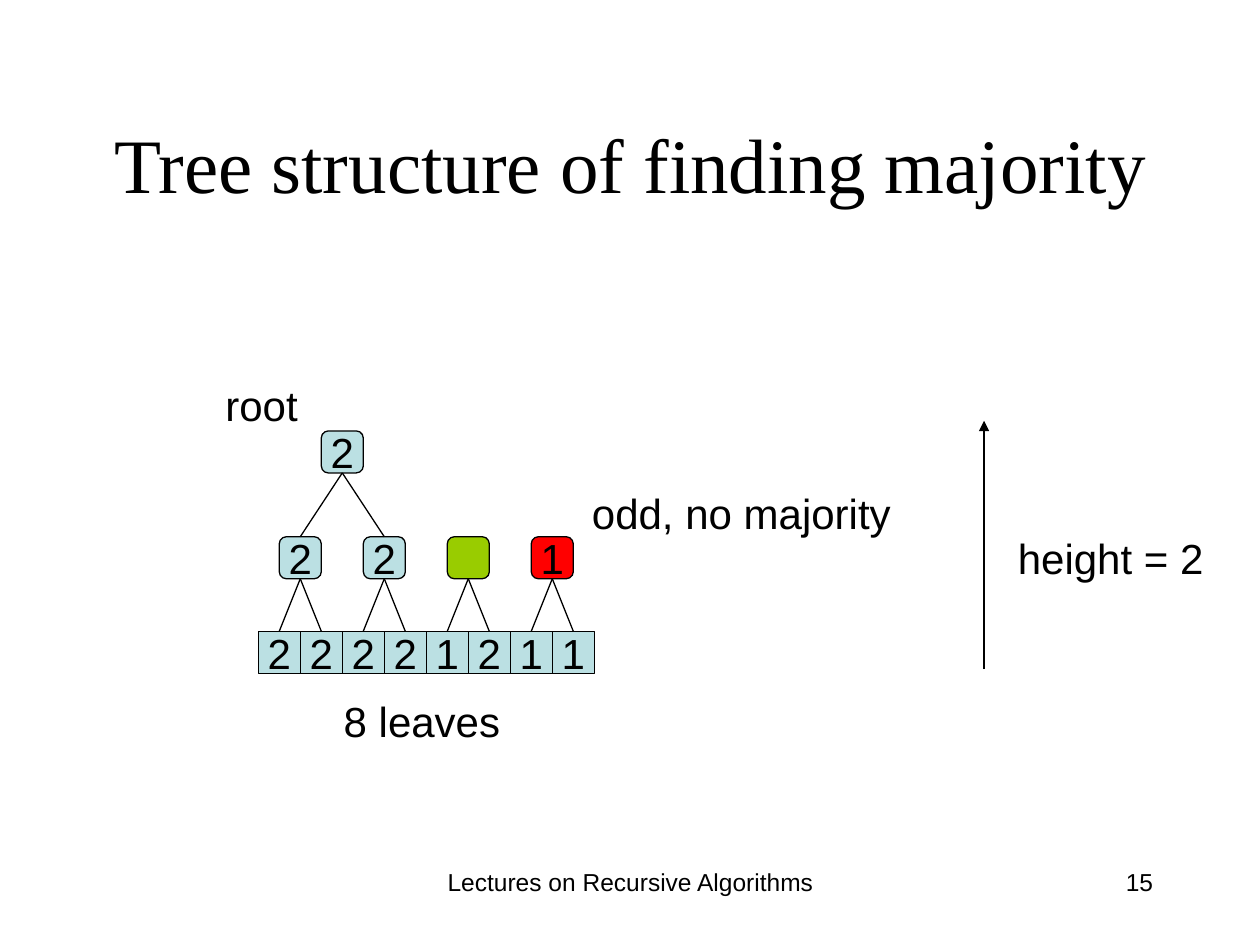
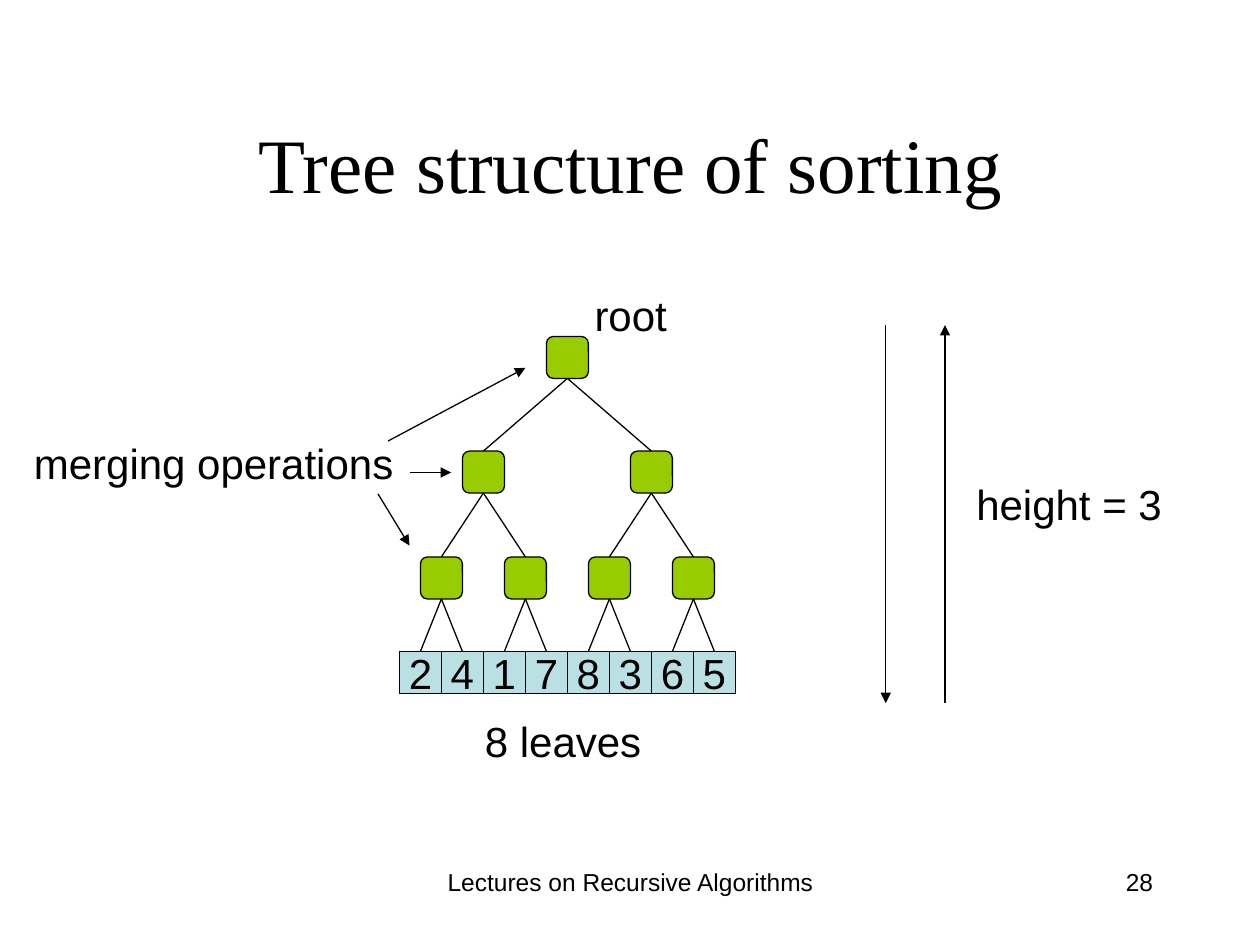
from pptx import Presentation
from pptx.dml.color import RGBColor
from pptx.enum.shapes import MSO_CONNECTOR, MSO_SHAPE
from pptx.enum.text import MSO_ANCHOR, MSO_AUTO_SIZE, PP_ALIGN
from pptx.oxml.ns import qn
from pptx.util import Inches, Pt
from lxml.etree import SubElement

BLACK, BLUE, GREEN, RED = "000000", "BBE0E3", "99CC00", "FF0000"
SANS, SERIF = "Arial", "Times New Roman"
NODE = 1 / 3
LINE_WIDTH = 0.74


def color(hex_value):
    return RGBColor.from_string(hex_value)


def write(frame, text, size=24, font=SANS, align=PP_ALIGN.LEFT):
    paragraph = frame.paragraphs[0]
    paragraph.alignment = align
    run = paragraph.add_run()
    run.text = text
    run.font.size = Pt(size)
    run.font.name = font
    run.font.color.rgb = color(BLACK)


def add_label(slide, text, left, top, width):
    frame = slide.shapes.add_textbox(
        Inches(left), Inches(top), Inches(width), Inches(0.5)).text_frame
    frame.word_wrap = False
    frame.auto_size = MSO_AUTO_SIZE.SHAPE_TO_FIT_TEXT
    write(frame, text)


def add_footer(slide, text, left, width, align):
    frame = slide.shapes.add_textbox(
        Inches(left), Inches(6.83), Inches(width), Inches(0.5)).text_frame
    frame.word_wrap = True
    write(frame, text, 14, align=align)


def add_line(slide, start, end, arrow=False):
    x1, y1, x2, y2 = [Inches(value) for value in (*start, *end)]
    connector = slide.shapes.add_connector(MSO_CONNECTOR.STRAIGHT, x1, y1, x2, y2)
    connector.line.color.rgb = color(BLACK)
    connector.line.width = Pt(LINE_WIDTH)
    properties = connector.element.spPr
    if arrow:
        SubElement(properties.find(qn("a:ln")), qn("a:tailEnd"), type="triangle")
    SubElement(properties, qn("a:effectLst"))


def add_node(slide, outline, text, fill, center, top):
    node = slide.shapes.add_shape(
        outline, Inches(center - NODE / 2), Inches(top), Inches(NODE), Inches(NODE))
    node.shadow.inherit = False
    node.fill.solid()
    node.fill.fore_color.rgb = color(fill)
    node.line.color.rgb = color(BLACK)
    node.line.width = Pt(LINE_WIDTH)
    if text:
        frame = node.text_frame
        frame.word_wrap = False
        frame.vertical_anchor = MSO_ANCHOR.MIDDLE
        write(frame, text, align=PP_ALIGN.CENTER)


def add_tree(slide, left, leaves, leaf_top, levels):
    centers = [left + NODE * (i + 0.5) for i in range(len(leaves))]
    for leaf, center in zip(leaves, centers):
        add_node(slide, MSO_SHAPE.RECTANGLE, leaf, BLUE, center, leaf_top)
    child_top = leaf_top
    for top, nodes in levels:
        parents = []
        for (text, fill), pair in zip(nodes, zip(centers[::2], centers[1::2])):
            parent = sum(pair) / 2
            add_node(slide, MSO_SHAPE.ROUNDED_RECTANGLE, text, fill, parent, top)
            for child in pair:
                add_line(slide, (child, child_top), (parent, top + NODE))
            parents.append(parent)
        centers, child_top = parents, top


def start_slide(deck, heading, number):
    slide = deck.slides.add_slide(deck.slide_layouts[5])
    title = slide.shapes.title
    title.left, title.top = Inches(0.42), Inches(0.67)
    title.width, title.height = Inches(9.17), Inches(1.25)
    title.text_frame.auto_size = MSO_AUTO_SIZE.NONE
    title.text_frame.vertical_anchor = MSO_ANCHOR.MIDDLE
    write(title.text_frame, heading, 44, SERIF, PP_ALIGN.CENTER)
    add_footer(slide, "Lectures on Recursive Algorithms", 3.42, 3.17, PP_ALIGN.CENTER)
    add_footer(slide, number, 7.17, 2.08, PP_ALIGN.RIGHT)
    return slide


def build_majority(deck):
    slide = start_slide(deck, "Tree structure of finding majority", "15")
    majority = ("2", BLUE)
    add_tree(slide, 2.05, "22221211", 5.01, [
        (4.26, [majority, majority, ("", GREEN), ("1", RED)]),
        (3.42, [majority]),
    ])
    add_line(slide, (7.81, 5.31), (7.81, 3.34), arrow=True)
    add_label(slide, "height = 2", 7.98, 4.18, 1.7)
    add_label(slide, "root", 1.69, 2.96, 0.82)
    add_label(slide, "8 leaves", 2.63, 5.47, 1.47)
    add_label(slide, "odd, no majority", 4.6, 3.82, 2.6)


def build_sorting(deck):
    slide = start_slide(deck, "Tree structure of sorting", "28")
    merge = ("", GREEN)
    add_tree(slide, 3.17, "24178365", 5.17, [
        (4.42, [merge] * 4), (3.58, [merge] * 2), (2.67, [merge])])
    add_label(slide, "height = 3", 7.65, 3.75, 1.7)
    add_label(slide, "root", 4.62, 2.25, 0.82)
    add_label(slide, "8 leaves", 3.75, 5.63, 1.47)
    add_label(slide, "merging operations", 0.17, 3.42, 3.08)
    for start, end in [
        ((3, 3.92), (3.25, 4.33)),
        ((3.25, 3.75), (3.58, 3.75)),
        ((3.08, 3.5), (4.17, 2.92)),
        ((7.5, 5.58), (7.5, 2.58)),
        ((7.03, 2.58), (7.03, 5.58)),
    ]:
        add_line(slide, start, end, arrow=True)


def main():
    deck = Presentation()
    deck.slide_width, deck.slide_height = Inches(10), Inches(7.5)
    build_majority(deck)
    build_sorting(deck)
    deck.save("out.pptx")


main()
